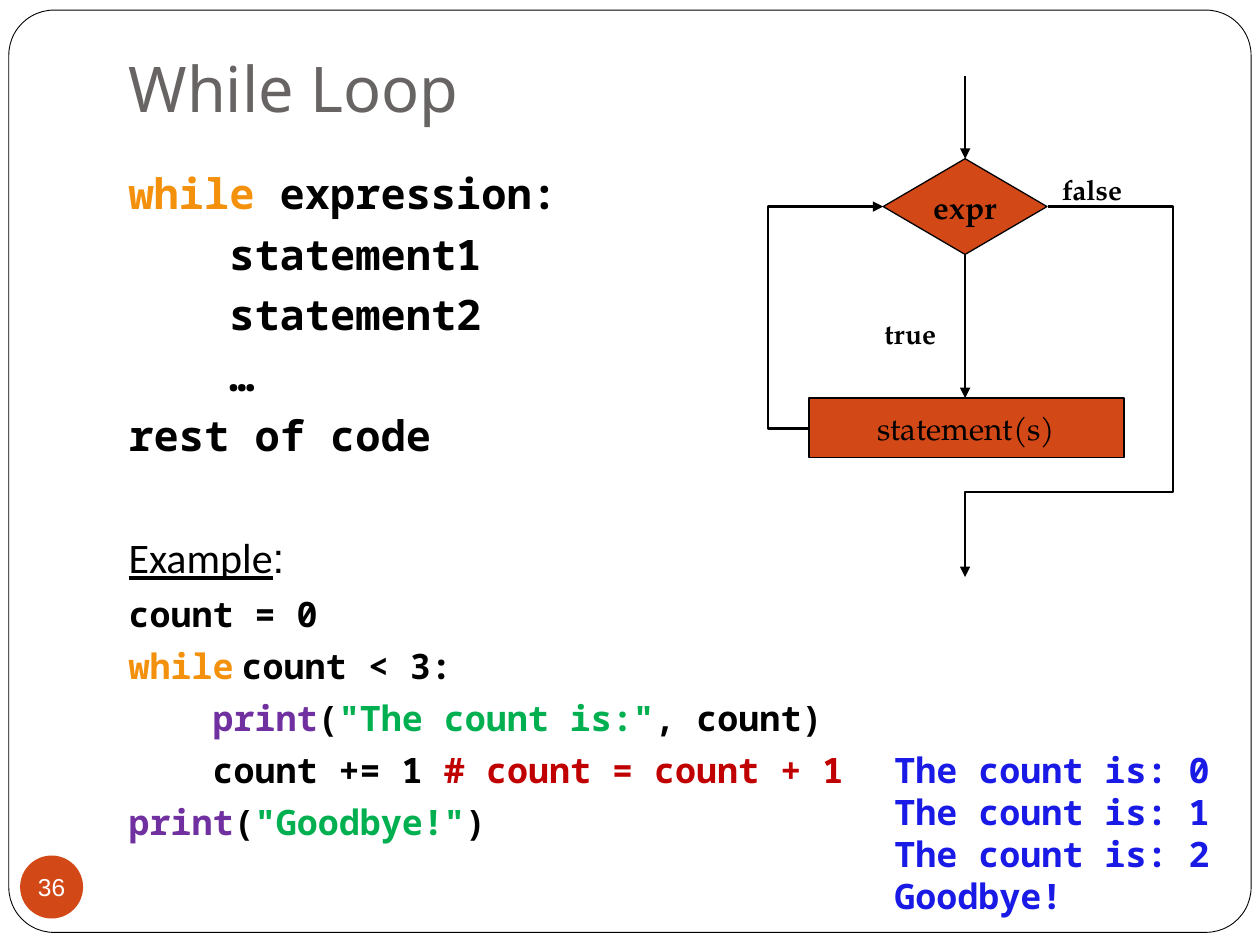
from dataclasses import dataclass
from typing import Optional

from lxml.etree import SubElement
from pptx import Presentation
from pptx.dml.color import RGBColor
from pptx.enum.shapes import MSO_CONNECTOR, MSO_SHAPE
from pptx.enum.text import MSO_ANCHOR, MSO_AUTO_SIZE, PP_ALIGN
from pptx.oxml.ns import qn
from pptx.util import Inches, Pt


@dataclass(frozen=True)
class Theme:
    black: str = "000000"
    white: str = "FFFFFF"
    accent: str = "D34817"
    title: str = "696464"
    keyword: str = "F4910C"
    function: str = "7030A0"
    string: str = "00B050"
    comment: str = "C00000"
    output: str = "1A1AE6"
    heading_font: str = "Noto Sans"
    code_font: str = "Noto Sans Mono"
    label_font: str = "TeX Gyre Pagella"
    plain_font: str = "Calibri"
    number_font: str = "Arial"
    title_size: int = 36
    syntax_size: int = 24
    code_size: int = 20
    node_size: int = 18
    label_size: int = 16
    number_size: int = 14


THEME = Theme()


@dataclass(frozen=True)
class Piece:
    text: str
    color: str = THEME.black
    font: str = THEME.code_font
    bold: bool = True
    underline: bool = False


@dataclass(frozen=True)
class Line:
    pieces: tuple
    size: int = THEME.code_size
    level: int = 0
    before: float = 5.8


@dataclass(frozen=True)
class Node:
    shape: MSO_SHAPE
    box: tuple
    fill: str
    text: str = ""
    line: Optional[float] = None
    size: int = THEME.node_size
    font: str = THEME.label_font
    color: str = THEME.black
    bold: bool = False


@dataclass(frozen=True)
class Arrow:
    start: tuple
    end: tuple
    preset: str = "line"
    bends: tuple = ()


def place(shape, box: tuple) -> None:
    shape.left, shape.top, shape.width, shape.height = map(Inches, box)


def add_text(paragraph, text: str, *, size: int, font: str, color: str = THEME.black,
             bold: bool = False, underline: bool = False) -> None:
    run = paragraph.add_run()
    run.text = text
    run.font.size = Pt(size)
    run.font.name = font
    run.font.bold = bold
    run.font.underline = underline
    run.font.color.rgb = RGBColor.from_string(color)


def add_node(slide, node: Node):
    shape = slide.shapes.add_shape(node.shape, *map(Inches, node.box))
    shape.shadow.inherit = False
    shape.fill.solid()
    shape.fill.fore_color.rgb = RGBColor.from_string(node.fill)
    if node.line is None:
        shape.line.fill.background()
    else:
        shape.line.width = Pt(node.line)
        shape.line.color.rgb = RGBColor.from_string(THEME.black)
    if node.text:
        frame = shape.text_frame
        frame.word_wrap = False
        frame.vertical_anchor = MSO_ANCHOR.MIDDLE
        frame.margin_left = frame.margin_right = frame.margin_top = frame.margin_bottom = 0
        frame.paragraphs[0].alignment = PP_ALIGN.CENTER
        add_text(frame.paragraphs[0], node.text, size=node.size, font=node.font,
                 color=node.color, bold=node.bold)
    return shape


def add_arrow(slide, arrow: Arrow) -> None:
    kind = MSO_CONNECTOR.ELBOW if arrow.bends else MSO_CONNECTOR.STRAIGHT
    connector = slide.shapes.add_connector(kind, *map(Inches, arrow.start + arrow.end))
    connector.line.width = Pt(1.5)
    connector.line.color.rgb = RGBColor.from_string(THEME.black)
    properties = connector.element.spPr
    SubElement(properties.find(qn("a:ln")), qn("a:tailEnd"), type="triangle")
    SubElement(properties, qn("a:effectLst"))
    if arrow.bends:
        geometry = properties.find(qn("a:prstGeom"))
        geometry.set("prst", arrow.preset)
        guides = geometry.get_or_add_avLst()
        for number, bend in enumerate(arrow.bends, 1):
            SubElement(guides, qn("a:gd"), name=f"adj{number}", fmla=f"val {round(bend * 100000)}")


def add_text_box(slide, box: tuple, lines: tuple, *, wrap: bool = False, **text_format) -> None:
    frame = slide.shapes.add_textbox(*map(Inches, box)).text_frame
    frame.word_wrap = wrap
    frame.auto_size = MSO_AUTO_SIZE.SHAPE_TO_FIT_TEXT
    for index, text in enumerate(lines):
        paragraph = frame.add_paragraph() if index else frame.paragraphs[0]
        add_text(paragraph, text, bold=True, **text_format)


def fill_body(frame, lines: tuple) -> None:
    frame.auto_size = MSO_AUTO_SIZE.NONE
    frame.vertical_anchor = MSO_ANCHOR.TOP
    for index, line in enumerate(lines):
        paragraph = frame.add_paragraph() if index else frame.paragraphs[0]
        paragraph.space_before = Pt(line.before)
        properties = paragraph._p.get_or_add_pPr()
        # One level is four characters of 0.6 em
        properties.set("marL", str(Pt(line.level * 4 * 0.6 * line.size)))
        properties.set("indent", "0")
        SubElement(properties, qn("a:buNone"))
        for piece in line.pieces:
            add_text(paragraph, piece.text, size=line.size, font=piece.font, color=piece.color,
                     bold=piece.bold, underline=piece.underline)


presentation = Presentation()
presentation.slide_width, presentation.slide_height = Inches(10), Inches(7.5)
slide = presentation.slides.add_slide(presentation.slide_layouts[1])

# Rounded page border, behind everything else
border = add_node(slide, Node(MSO_SHAPE.ROUNDED_RECTANGLE, (0.07, 0.08, 9.86, 7.32), THEME.white, line=0.5))
border.adjustments[0] = 0.049
border.element.getparent().insert(2, border.element)

# Title
title = slide.shapes.title
place(title, (0.92, 0.29, 8.5, 0.8))
title.text_frame.auto_size = MSO_AUTO_SIZE.NONE
title.text_frame.vertical_anchor = MSO_ANCHOR.BOTTOM
title.text_frame.margin_bottom = Inches(0.1)
title.text_frame.paragraphs[0].alignment = PP_ALIGN.LEFT
add_text(title.text_frame.paragraphs[0], "While Loop", size=THEME.title_size,
         font=THEME.heading_font, color=THEME.title)

# Syntax and example code
WHILE = Piece("while", THEME.keyword)
PRINT = Piece("print", THEME.function)
BODY = (
    Line((WHILE, Piece(" expression:")), THEME.syntax_size),
    *(Line((Piece(text),), THEME.syntax_size, level=1) for text in ("statement1", "statement2", "…")),
    Line((Piece("rest of code"),), THEME.syntax_size),
    Line((Piece("Example", font=THEME.plain_font, bold=False, underline=True),
          Piece(":", font=THEME.number_font, bold=False)), THEME.syntax_size, before=40.7),
    Line((Piece("count = 0"),)),
    Line((WHILE, Piece(" ", font=THEME.plain_font), Piece("count < 3:"))),
    Line((PRINT, Piece("("), Piece('"The count is:"', THEME.string), Piece(", count)")), level=1),
    Line((Piece("count += 1 "), Piece("# count = count + 1", THEME.comment)), level=1),
    Line((PRINT, Piece("("), Piece('"Goodbye!"', THEME.string), Piece(")"))),
)
body = slide.placeholders[1]
place(body, (0.92, 1.28, 8.5, 5.47))
fill_body(body.text_frame, BODY)

# Flowchart and slide number
NODES = (
    Node(MSO_SHAPE.FLOWCHART_DECISION, (7.01, 1.26, 1.3, 0.76), THEME.accent, "expr", 0.75, bold=True),
    Node(MSO_SHAPE.FLOWCHART_PROCESS, (6.42, 3.16, 2.5, 0.47), THEME.accent, "statement(s)", 0.75),
    Node(MSO_SHAPE.OVAL, (0.16, 6.79, 0.5, 0.5), THEME.accent, "36", size=THEME.number_size,
         font=THEME.number_font, color=THEME.white),
)
ARROWS = (
    Arrow((7.66, 0.6), (7.66, 1.26)),
    Arrow((7.66, 2.02), (7.66, 3.16)),
    Arrow((6.42, 3.4), (7.01, 1.64), "bentConnector3", (-0.55,)),
    Arrow((8.32, 1.64), (7.66, 4.58), "bentConnector4", (-1.5, 0.77)),
)
for node in NODES:
    add_node(slide, node)
for arrow in ARROWS:
    add_arrow(slide, arrow)
for text, box in (("true", (6.92, 2.46, 0.81, 0.42)), ("false", (8.33, 1.32, 0.92, 0.42))):
    add_text_box(slide, box, (text,), size=THEME.label_size, font=THEME.label_font)

# Program output
add_text_box(slide, (7, 5.89, 2.83, 1.45),
             (*(f"The count is: {count}" for count in range(3)), "Goodbye!"),
             wrap=True, size=THEME.code_size, font=THEME.code_font, color=THEME.output)

presentation.save("out.pptx")
